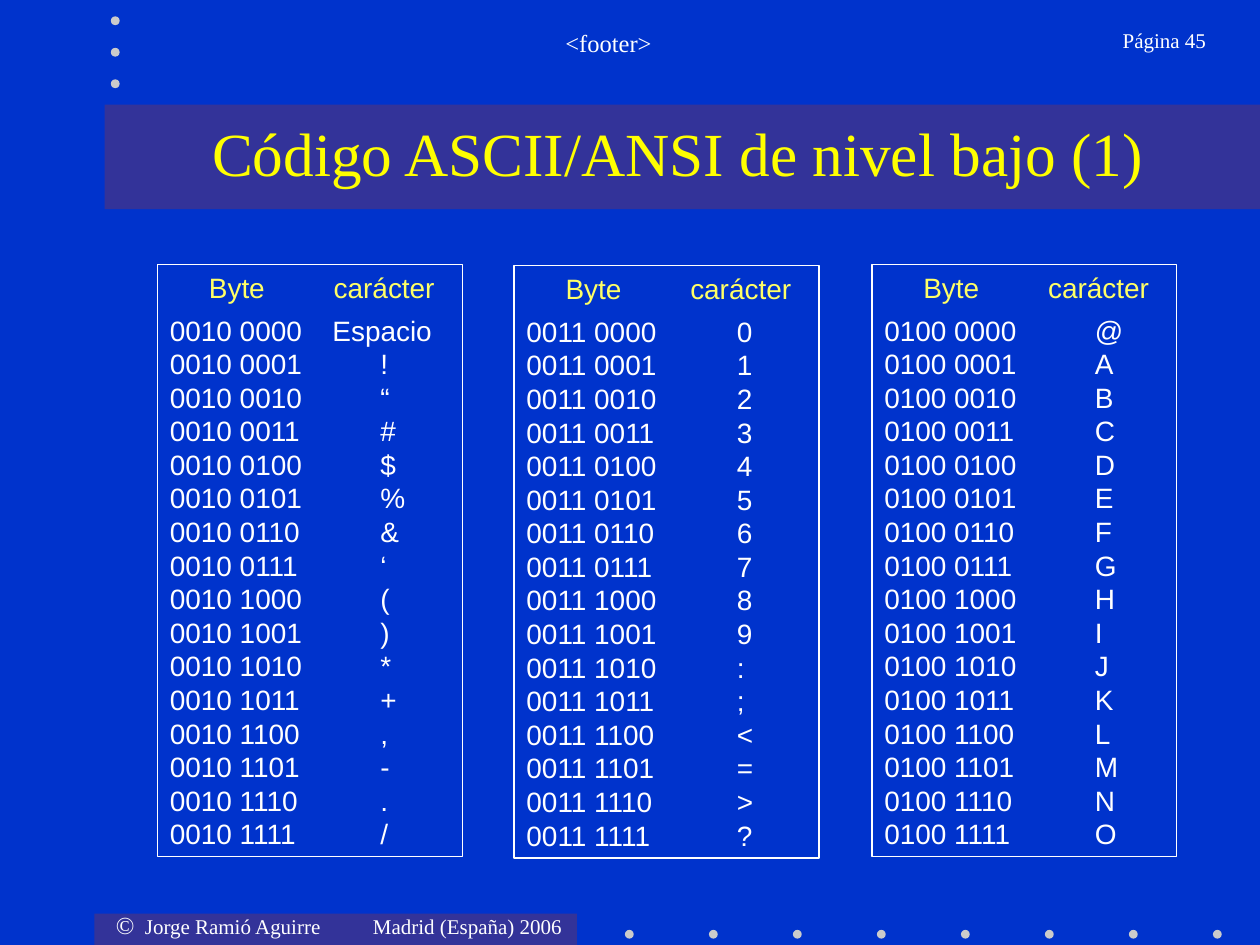
from lxml import etree
from pptx import Presentation
from pptx.dml.color import RGBColor
from pptx.enum import shapes, text
from pptx.oxml import ns
from pptx.util import Inches, Pt

COLORS = {
    "background": "0033CC",
    "band": "333399",
    "dot": "CBCBCB",
    "text": "FFFFFF",
    "title": "FFFF00",
    "header": "FFFF66",
}
SERIF, SANS = "Times New Roman", "Arial"
HEADER_TABS = (0.31, 1.3)
WORD_TABS = (1.29,)
SYMBOL_TABS = (1.67,)

# left, top, first code, characters in code order
CODE_BOXES = [
    (1.25, 2.1, 0x20, ["Espacio", *"!“#$%&‘()*+,-./"]),
    (4.08, 2.11, 0x30, "0123456789:;<=>?"),
    (6.92, 2.1, 0x40, "@ABCDEFGHIJKLMNO"),
]


def color(name):
    return RGBColor.from_string(COLORS[name])


def add_filled(page, kind, left, top, width, height, fill):
    shape = page.shapes.add_shape(
        kind, Inches(left), Inches(top), Inches(width), Inches(height))
    shape.shadow.inherit = False
    shape.fill.solid()
    shape.fill.fore_color.rgb = color(fill)
    shape.line.fill.background()


def add_dot(page, left, top):
    add_filled(page, shapes.MSO_SHAPE.OVAL, left, top, 0.07, 0.07, "dot")


def add_band(page, left, top, width, height):
    add_filled(page, shapes.MSO_SHAPE.RECTANGLE, left, top, width, height, "band")


def add_box(page, left, top, width, height):
    box = page.shapes.add_textbox(
        Inches(left), Inches(top), Inches(width), Inches(height))
    box.text_frame.word_wrap = True
    return box


def set_tabs(para, stops):
    tab_list = etree.SubElement(para._p.get_or_add_pPr(), ns.qn("a:tabLst"))
    for stop in stops:
        etree.SubElement(tab_list, ns.qn("a:tab"), pos=str(Inches(stop)), algn="l")


def add_span(para, words, size, font, fill):
    span = para.add_run()
    span.text = words
    span.font.size = Pt(size)
    span.font.name = font
    span.font.color.rgb = color(fill)


def add_label(page, place, words, size, align, fill="text"):
    box = add_box(page, *place)
    para = box.text_frame.paragraphs[0]
    para.alignment = align
    add_span(para, words, size, SERIF, fill)
    return box


def add_copyright(page):
    box = add_box(page, 0.72, 7.17, 3.85, 0.34)
    box.text_frame.margin_left = Inches(0.2)
    box.text_frame.margin_right = 0
    para = box.text_frame.paragraphs[0]
    set_tabs(para, (0.23, 2.04))
    add_span(para, "©", 14, SERIF, "text")
    add_span(para, "\tJorge Ramió Aguirre\tMadrid (España) 2006", 12, SERIF, "text")


def add_code_line(para, words, stops, fill="text"):
    set_tabs(para, stops)
    para.line_spacing = Pt(19.2)
    add_span(para, words, 16, SANS, fill)


def add_code_box(page, left, top, first_code, characters):
    """Outlined list of bytes in binary with the character of each."""
    box = add_box(page, left, top, 2.42, 4.7)
    box.line.color.rgb = color("text")
    box.line.width = Pt(0.75)
    frame = box.text_frame
    add_code_line(frame.paragraphs[0], "\tByte\tcarácter", HEADER_TABS, "header")
    for code, character in enumerate(characters, first_code):
        para = frame.add_paragraph()
        stops = SYMBOL_TABS if len(character) == 1 else WORD_TABS
        add_code_line(para, f"{code >> 4:04b} {code & 15:04b}\t{character}", stops)
        if code == first_code:
            para.space_before = Pt(5)


def main():
    deck = Presentation()
    deck.slide_width, deck.slide_height = Inches(10), Inches(7.5)
    page = deck.slides.add_slide(deck.slide_layouts[6])
    page.background.fill.solid()
    page.background.fill.fore_color.rgb = color("background")

    add_band(page, 0.75, 7.25, 3.83, 0.25)
    for column in range(8):
        add_dot(page, 4.96 + column * 2 / 3, 7.38)
    add_band(page, 0.83, 0.83, 9.17, 0.83)
    for row in range(3):
        add_dot(page, 0.88, 0.13 + row * 0.25)

    add_copyright(page)
    add_label(page, (1.58, 0.17, 6.5, 0.5), "<footer>", 14, text.PP_ALIGN.CENTER)
    add_label(page, (8.3, 0.17, 1.37, 0.5), "Página 45", 12, text.PP_ALIGN.RIGHT)
    title = add_label(page, (0.92, 0.83, 8.92, 0.75),
                      "Código ASCII/ANSI de nivel bajo (1)", 35,
                      text.PP_ALIGN.CENTER, "title")
    title.text_frame.vertical_anchor = text.MSO_ANCHOR.MIDDLE

    for code_box in CODE_BOXES:
        add_code_box(page, *code_box)
    deck.save("out.pptx")


if __name__ == "__main__":
    main()
